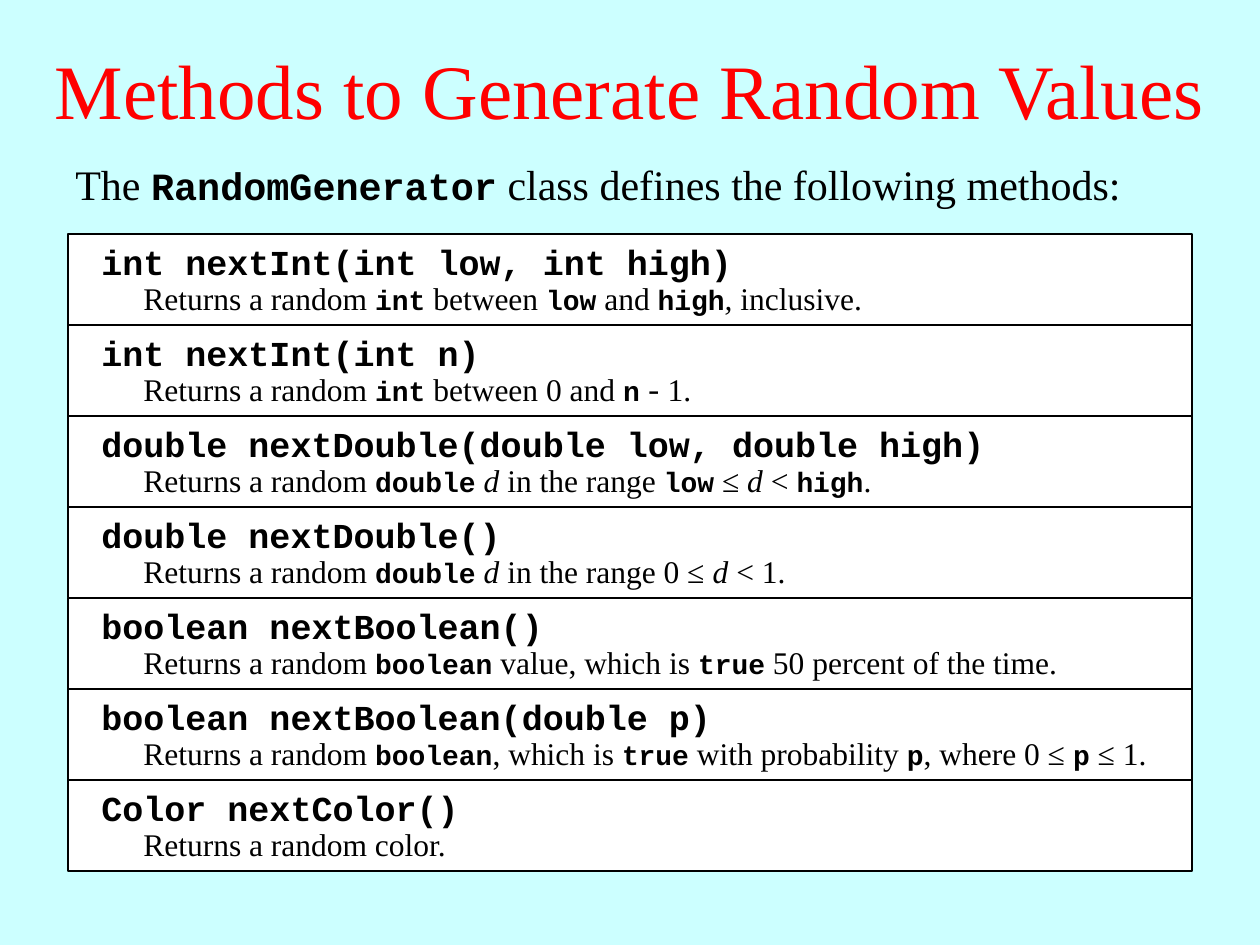
from pptx import Presentation
from pptx import util as u
from pptx.dml.color import RGBColor
from pptx.enum import shapes, text

PX = 914400 / 126
BACKGROUND = RGBColor(0xCC, 0xFF, 0xFF)
RED = RGBColor(0xFF, 0, 0)
BLACK = RGBColor(0, 0, 0)
WHITE = RGBColor(0xFF, 0xFF, 0xFF)

SERIF, MONO = "Times New Roman", "Courier New"
TITLE = dict(font=SERIF, size=44, color=RED)
LEAD = dict(font=SERIF, size=24)
CLASS_NAME = dict(font=MONO, size=22, bold=True)
SIGNATURE = dict(font=MONO, size=20, bold=True)
BODY = dict(font=SERIF, size=18)
VARIABLE = dict(font=SERIF, size=18, italic=True)
CODE = dict(font=MONO, size=16, bold=True)
THIN_SPACE = dict(font=SERIF, size=10)
MINUS = dict(font=MONO, size=18)

METHODS = [
    ("int nextInt(int low, int high)",
     [("Returns a random ", BODY), ("int", CODE), (" between ", BODY), ("low", CODE),
      (" and ", BODY), ("high", CODE), (",", VARIABLE), (" inclusive.", BODY)]),
    ("int nextInt(int n)",
     [("Returns a random ", BODY), ("int", CODE), (" between 0 and ", BODY), ("n", CODE),
      (" ", THIN_SPACE), ("-", MINUS), (" ", THIN_SPACE), ("1.", BODY)]),
    ("double nextDouble(double low, double high)",
     [("Returns a random ", BODY), ("double", CODE), (" ", BODY), ("d", VARIABLE),
      (" in the range ", BODY), ("low", CODE), (" ≤ ", BODY), ("d", VARIABLE),
      (" < ", BODY), ("high", CODE), (".", BODY)]),
    ("double nextDouble()",
     [("Returns a random ", BODY), ("double", CODE), (" ", BODY), ("d", VARIABLE),
      (" in the range 0 ≤ ", BODY), ("d", VARIABLE), (" < 1.", BODY)]),
    ("boolean nextBoolean()",
     [("Returns a random ", BODY), ("boolean", CODE), (" value, which is ", BODY),
      ("true", CODE), (" 50 percent of the time.", BODY)]),
    ("boolean nextBoolean(double p)",
     [("Returns a random ", BODY), ("boolean", CODE), (", which is ", BODY), ("true", CODE),
      (" with probability ", BODY), ("p", CODE), (", where 0 ≤ ", BODY), ("p", CODE),
      (" ≤ 1.", BODY)]),
    ("Color nextColor()", [("Returns a random color.", BODY)]),
]


def px(*lengths):
    return [u.Emu(round(length * PX)) for length in lengths]


def add_run(paragraph, words, font, size, color=BLACK, bold=False, italic=False):
    run = paragraph.add_run()
    run.text = words
    run.font.name = font
    run.font.size = u.Pt(size)
    run.font.color.rgb = color
    run.font.bold = bold
    run.font.italic = italic


def add_text(parent, box, runs, align=text.PP_ALIGN.LEFT, line_spacing=None):
    frame = parent.add_textbox(*px(*box)).text_frame
    frame.word_wrap = True
    frame.auto_size = text.MSO_AUTO_SIZE.SHAPE_TO_FIT_TEXT
    paragraph = frame.paragraphs[0]
    paragraph.alignment = align
    paragraph.line_spacing = line_spacing
    for words, style in runs:
        add_run(paragraph, words, **style)


def place_title(slide, box):
    title = slide.shapes.title
    title.left, title.top, title.width, title.height = px(*box)
    frame = title.text_frame
    frame.auto_size = text.MSO_AUTO_SIZE.NONE
    frame.vertical_anchor = text.MSO_ANCHOR.MIDDLE
    paragraph = frame.paragraphs[0]
    paragraph.alignment = text.PP_ALIGN.CENTER
    add_run(paragraph, "Methods to Generate Random Values", **TITLE)


def place_lead(slide, box):
    runs = [("The ", LEAD), ("RandomGenerator", CLASS_NAME),
            (" class defines the following methods:", LEAD)]
    add_text(slide.shapes, box, runs, align=text.PP_ALIGN.JUSTIFY, line_spacing=0.9)


def place_method(slide, box, signature, description):
    left, top, width, height = box
    entry = slide.shapes.add_group_shape().shapes
    panel = entry.add_shape(shapes.MSO_SHAPE.RECTANGLE, *px(*box))
    panel.shadow.inherit = False
    panel.fill.solid()
    panel.fill.fore_color.rgb = WHITE
    panel.line.color.rgb = BLACK
    panel.line.width = u.Pt(0.75)
    add_text(entry, (left + 21, top, width - 43, 55), [(signature, SIGNATURE)])
    add_text(entry, (left + 63, top + 39, width - 74, 50), description)


def place_methods(slide, box):
    left, top, width, height = box
    row_height = height // len(METHODS)
    for row, (signature, description) in enumerate(METHODS):
        row_box = (left, top + row * row_height, width, row_height)
        place_method(slide, row_box, signature, description)


def main():
    deck = Presentation()
    deck.slide_width, deck.slide_height = px(1260, 945)
    slide = deck.slides.add_slide(deck.slide_layouts[5])
    slide.background.fill.solid()
    slide.background.fill.fore_color.rgb = BACKGROUND
    place_title(slide, (0, 10, 1260, 158))
    place_lead(slide, (63, 158, 1134, 58))
    place_methods(slide, (68, 234, 1124, 637))
    deck.save("out.pptx")


if __name__ == "__main__":
    main()
